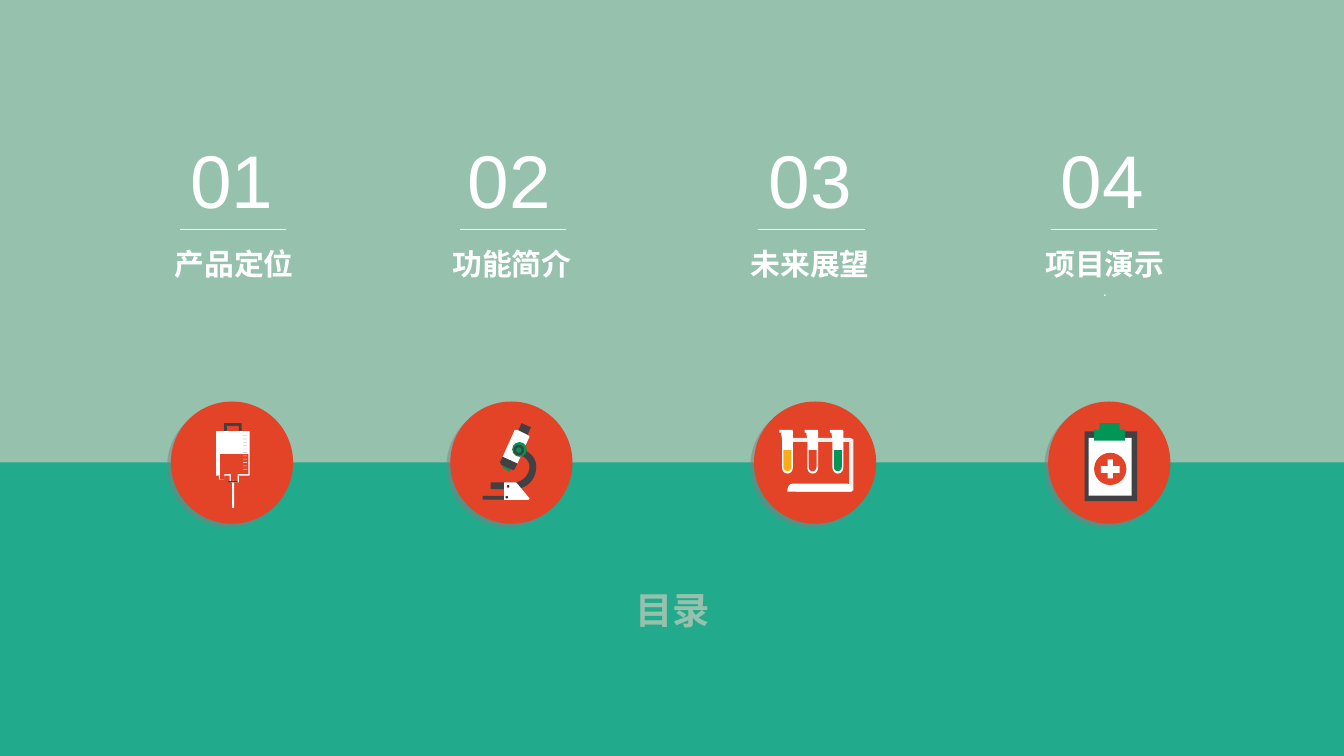
from dataclasses import dataclass

from lxml.etree import SubElement
from pptx import Presentation
from pptx.dml.color import RGBColor
from pptx.enum.shapes import MSO_CONNECTOR, MSO_SHAPE
from pptx.enum.text import MSO_ANCHOR, MSO_AUTO_SIZE, PP_ALIGN
from pptx.oxml.ns import qn
from pptx.util import Cm, Pt

COLORS = {
    "sage": "95C1AD", "teal": "21AA8C", "red": "E34326", "white": "FFFFFF",
    "dark": "414042", "brown": "403833", "green": "009658", "amber": "FAAB18",
    "tick": "CED0D1", "frame": "F1F0EF", "shadow": "808080",
}
FONT = "Arial"
RECT, OVAL = MSO_SHAPE.RECTANGLE, MSO_SHAPE.OVAL
ICON_UNIT = 0.0254
ICON_TOP = 8.0


@dataclass
class Preset:
    kind: MSO_SHAPE
    color: str
    x: float
    y: float
    w: float
    h: float


@dataclass
class Outline:
    color: str
    contours: list


@dataclass
class Section:
    number: str
    label: str
    text_x: float
    rule_x: float
    disc_x: float
    icon_x: float
    icon: list
    spaced: bool = True
    note: str = ""


def curve(*pts: tuple, steps: int = 10) -> list:
    weights = (1, 3, 3, 1)
    return [tuple(sum(c * (1 - t) ** (3 - k) * t ** k * p[axis]
                      for k, (c, p) in enumerate(zip(weights, pts)))
                  for axis in (0, 1))
            for t in (n / steps for n in range(steps + 1))]


def test_tube(x: float, liquid: str) -> list:
    glass = [(10, 15), (10, 6), (1, 6), (2, 12), *curve((2, 33), (2, 39), (10, 39), (10, 33))]
    fill = [(3, 20), *curve((3, 32), (3, 37), (9, 37), (9, 32)), (9, 20)]
    return [*(Outline(color, [[(x + px, py) for px, py in pts]])
              for color, pts in (("white", glass), (liquid, fill))),
            Preset(RECT, "white", x, 5, 10, 2)]


DRIP_BAG = [
    Outline("dark", [[(20, 10), (7, 10), (7, 0), (20, 0)], [(9, 8), (18, 8), (18, 2), (9, 2)]]),
    Preset(RECT, "white", 1, 6, 25, 33),
    Preset(RECT, "red", 4, 23, 21, 15),
    Preset(RECT, "white", 3, 39, 4, 3),
    Preset(RECT, "white", 11, 39, 7, 5),
    Preset(RECT, "red", 12, 36, 5, 7),
    Preset(RECT, "red", 4, 37, 3, 5),
    Preset(RECT, "white", 13, 43, 1.5, 20),
    *(Preset(RECT, "tick", 21, 9 + 2.5 * n, 3, 0.5) for n in range(11)),
    Preset(RECT, "dark", 10, 43, 7, 1),
]
MICROSCOPE = [
    Outline("green", [[(20, 36), (15, 33), (15, 32), (17, 31), (21, 33), (21, 34)]]),
    Outline("dark", [[(33, 10), (26, 8), (26, 7), (29, 0), (36, 3)]]),
    Outline("white", [[(26, 30), (25, 31), (16, 27), (15, 25), (24, 5), (26, 5), (34, 9), (35, 10)]]),
    Outline("dark", [[(24, 34), (23, 35), (14, 31), (13, 29), (15, 25), (26, 30)]]),
    Outline("dark", [[
        *curve((40, 32), (40, 22), (27, 18), (27, 18)), (25, 19), (25, 22),
        *curve((27, 23), (27, 23), (35, 26), (35, 32)),
        *curve((35, 32), (35, 39), (29, 44), (24, 44)), (6, 44), (6, 49),
        *curve((24, 49), (32, 49), (40, 43), (40, 32))]]),
    Preset(RECT, "dark", 0, 54, 33, 3),
    Preset(OVAL, "green", 22, 14, 11, 11),
    Preset(OVAL, "dark", 23, 16, 8, 8),
    Outline("white", [[(16, 57), (16, 44), (25, 44), (35, 56), (34, 57)]]),
    Preset(OVAL, "green", 25, 18, 4, 4),
    Preset(OVAL, "brown", 18, 46, 2, 2),
    Preset(OVAL, "brown", 17, 54, 2, 2),
]
TEST_TUBES = [
    Outline("frame", [[(53, 51), (13, 51), (11, 50), (13, 49), (52, 49), (52, 14),
                       (3, 14), (2, 12), (3, 11), (53, 11), (55, 12), (55, 50)]]),
    *(part for n, liquid in enumerate(("amber", "red", "green"))
      for part in test_tube(18.75 * n, liquid)),
    Outline("white", [[(54, 51), (6, 51), *curve((6, 50), (6, 47), (8, 45), (10, 45)),
                       *curve((50, 45), (52, 45), (54, 47), (54, 50))]]),
]
CLIPBOARD = [
    Preset(RECT, "dark", 0, 6, 39, 52),
    Preset(RECT, "white", 3, 11, 32, 43),
    Outline("green", [[(26, 5), (26, 0), (11, 0), (11, 5), (7, 5), (7, 13), (30, 13), (30, 5)]]),
    Preset(OVAL, "red", 7, 22, 24, 24),
    Outline("white", [[(26, 32), (21, 32), (21, 27), (17, 27), (17, 32), (12, 32),
                       (12, 37), (17, 37), (17, 41), (21, 41), (21, 37), (26, 37)]]),
]
SECTIONS = [
    Section("01", "产品定位", 2.62, 3.4, 3.23, 4.06, DRIP_BAG),
    Section("02", "功能简介", 7.87, 8.69, 8.51, 9.12, MICROSCOPE),
    Section("03", "未来展望", 13.51, 14.33, 14.25, 14.73, TEST_TUBES, spaced=False),
    Section("04", "项目演示", 19.08, 19.86, 19.81, 20.5, CLIPBOARD, note="."),
]


def rgb(name: str) -> RGBColor:
    return RGBColor.from_string(COLORS[name])


def paint(sp, color: str) -> None:
    sp.fill.solid()
    sp.fill.fore_color.rgb = rgb(color)
    sp.line.fill.background()
    sp.shadow.inherit = False


def add_preset(shapes, kind: MSO_SHAPE, color: str, x: float, y: float, w: float, h: float):
    sp = shapes.add_shape(kind, Cm(x), Cm(y), Cm(w), Cm(h))
    paint(sp, color)
    return sp


def add_run(p, text: str, size: float, color: str = "white", bold: bool = False) -> None:
    r = p.add_run()
    r.text = text
    r.font.name, r.font.size, r.font.bold = FONT, Pt(size), bold
    r.font.color.rgb = rgb(color)


def add_disc(shapes, x: float) -> None:
    sp = add_preset(shapes, OVAL, "red", x, 7.59, 2.31, 2.31)
    effects = sp._element.spPr.find(qn("a:effectLst"))
    shadow = SubElement(effects, qn("a:outerShdw"), dist=str(Pt(2.8)), dir="8100000",
                        algn="ctr", rotWithShape="0")
    color = SubElement(shadow, qn("a:srgbClr"), val=COLORS["shadow"])
    SubElement(color, qn("a:alpha"), val="50000")


def add_icon(shapes, parts: list, left: float) -> None:
    group = shapes.add_group_shape().shapes
    for part in parts:
        if isinstance(part, Preset):
            add_preset(group, part.kind, part.color, left + part.x * ICON_UNIT,
                       ICON_TOP + part.y * ICON_UNIT, part.w * ICON_UNIT, part.h * ICON_UNIT)
            continue
        contours = [[(Cm(left + x * ICON_UNIT), Cm(ICON_TOP + y * ICON_UNIT)) for x, y in pts]
                    for pts in part.contours]
        builder = group.build_freeform(*contours[0][0])
        builder.add_line_segments(contours[0][1:], close=True)
        for pts in contours[1:]:
            builder.move_to(*pts[0])
            builder.add_line_segments(pts[1:], close=True)
        paint(builder.convert_to_shape(), part.color)


def add_caption(shapes, section: Section) -> None:
    tf = shapes.add_textbox(Cm(section.text_x), Cm(2.54), Cm(3.61), Cm(2.82)).text_frame
    tf.word_wrap = True
    tf.auto_size = MSO_AUTO_SIZE.SHAPE_TO_FIT_TEXT
    tf.margin_left = tf.margin_right = tf.margin_top = tf.margin_bottom = 0
    p = tf.paragraphs[0]
    add_run(p, section.number, 40)
    if section.spaced:
        add_run(p, " ", 10, bold=True)
    p = tf.add_paragraph()
    p.space_before = Pt(11.5)
    add_run(p, section.label, 16, bold=True)
    if section.note:
        add_run(tf.add_paragraph(), section.note, 8)
    for p in tf.paragraphs:
        p.alignment = PP_ALIGN.CENTER


def add_rule(shapes, x: float) -> None:
    line = shapes.add_connector(MSO_CONNECTOR.STRAIGHT, Cm(x), Cm(4.34), Cm(x + 2.01), Cm(4.34))
    line.line.color.rgb = rgb("white")
    line.line.width = Pt(0.5)
    SubElement(line._element.spPr, qn("a:effectLst"))


def add_title(s, text: str) -> None:
    sp = s.shapes.title
    sp.left, sp.top, sp.width, sp.height = Cm(11.73), Cm(10.97), Cm(1.96), Cm(1.12)
    tf = sp.text_frame
    tf.word_wrap = False
    tf.auto_size = MSO_AUTO_SIZE.SHAPE_TO_FIT_TEXT
    tf.vertical_anchor = MSO_ANCHOR.TOP
    p = tf.paragraphs[0]
    p.alignment = PP_ALIGN.CENTER
    add_run(p, text, 20, "sage", bold=True)


def main() -> None:
    prs = Presentation()
    prs.slide_width, prs.slide_height = Cm(25.4), Cm(14.29)
    s = prs.slides.add_slide(prs.slide_layouts[5])
    s.background.fill.solid()
    s.background.fill.fore_color.rgb = rgb("teal")
    add_preset(s.shapes, RECT, "sage", 0, 0, 25.4, 8.74)
    add_title(s, "目录")
    for section in SECTIONS:
        add_disc(s.shapes, section.disc_x)
        add_caption(s.shapes, section)
        add_rule(s.shapes, section.rule_x)
        add_icon(s.shapes, section.icon, section.icon_x)
    prs.save("out.pptx")


if __name__ == "__main__":
    main()
